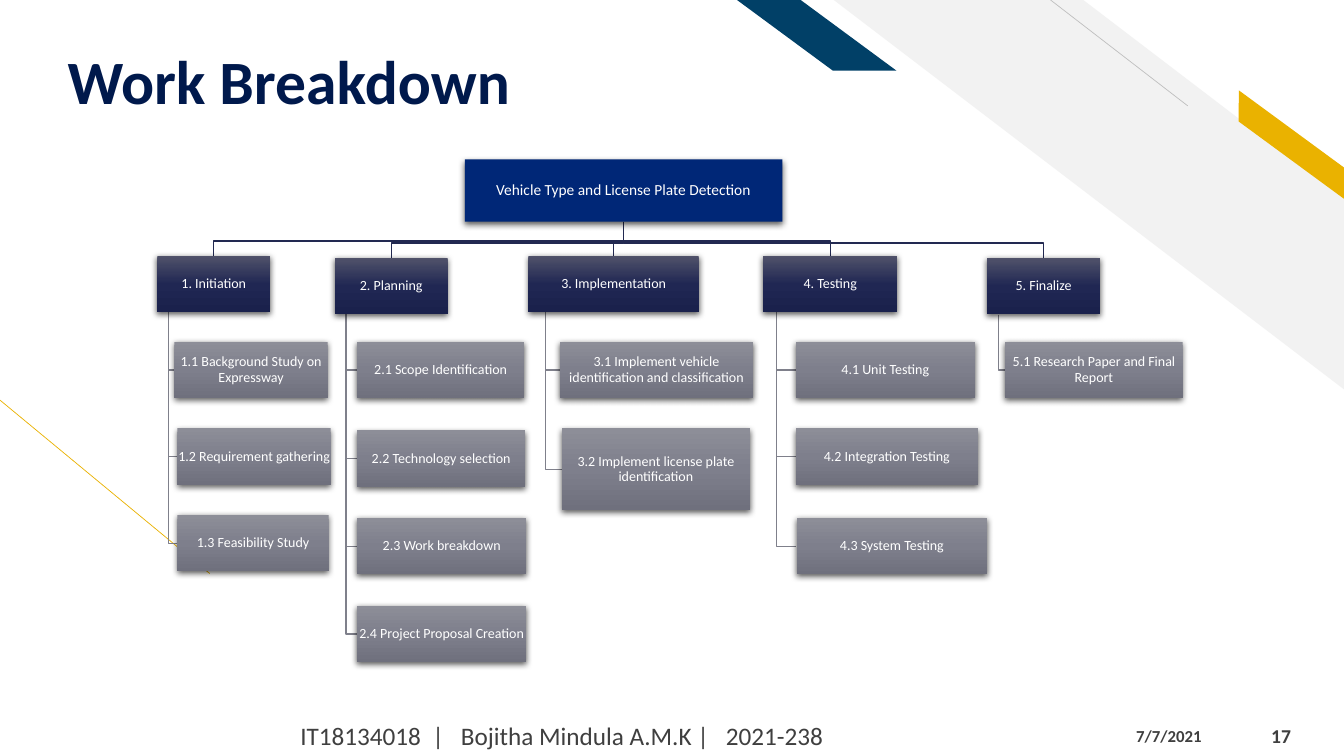
from copy import deepcopy

from lxml import etree
from pptx import Presentation
from pptx.dml.color import RGBColor
from pptx.enum.shapes import MSO_CONNECTOR, MSO_SHAPE
from pptx.enum.text import MSO_ANCHOR, MSO_AUTO_SIZE, PP_ALIGN
from pptx.oxml.ns import qn
from pptx.util import Inches, Pt

RECTANGLE, STRIPE, SLANT = MSO_SHAPE.RECTANGLE, MSO_SHAPE.DIAGONAL_STRIPE, MSO_SHAPE.PARALLELOGRAM
STRAIGHT = MSO_CONNECTOR.STRAIGHT
TOP, MIDDLE, BOTTOM = MSO_ANCHOR.TOP, MSO_ANCHOR.MIDDLE, MSO_ANCHOR.BOTTOM
LEFT, CENTER = PP_ALIGN.LEFT, PP_ALIGN.CENTER
NO_AUTOFIT = MSO_AUTO_SIZE.NONE

WIDTH, HEIGHT = 13.33, 7.5
FONT = "Calibri"
ROOT_COLOR = "002777"
PHASE_COLORS = ("50526A", "202753", "1A214C")
TASK_COLORS = ("8D8E98", "7E7F8C", "6F707D")
PHASE_LINE, TASK_LINE = "222951", "7F808B"

TITLE = "Work Breakdown"
ROOT = ("Vehicle Type and License Plate Detection", 4.61, 1.58, 3.15, 0.62)
BOX_HEIGHT = 0.56
SPINE_SHARE = 0.1  # where the task line leaves a phase box
BUS_GAP = 0.15  # bus line above the phase boxes

# phase: text, left, top, width; tasks: text, left, top, width, height
PHASES = [
    (("1. Initiation", 1.56, 2.54, 1.12), [
        ("1.1 Background Study on Expressway", 1.73, 3.39, 1.52, BOX_HEIGHT),
        ("1.2 Requirement gathering", 1.76, 4.25, 1.52, BOX_HEIGHT),
        ("1.3 Feasibility Study", 1.76, 5.11, 1.5, BOX_HEIGHT)]),
    (("2. Planning", 3.32, 2.56, 1.12), [
        ("2.1 Scope Identification", 3.54, 3.39, 1.66, BOX_HEIGHT),
        ("2.2 Technology selection", 3.54, 4.27, 1.67, BOX_HEIGHT),
        ("2.3 Work breakdown", 3.54, 5.14, 1.68, BOX_HEIGHT),
        ("2.4 Project Proposal Creation", 3.54, 6.01, 1.68, BOX_HEIGHT)]),
    (("3. Implementation", 5.24, 2.54, 1.69), [
        ("3.1 Implement vehicle identification and classification", 5.55, 3.39, 1.92, BOX_HEIGHT),
        ("3.2 Implement license plate identification", 5.57, 4.25, 1.87, 0.81)]),
    (("4. Testing", 7.57, 2.54, 1.33), [
        ("4.1 Unit Testing", 7.89, 3.39, 1.78, BOX_HEIGHT),
        ("4.2 Integration Testing", 7.89, 4.25, 1.81, BOX_HEIGHT),
        ("4.3 System Testing", 7.9, 5.14, 1.89, BOX_HEIGHT)]),
    (("5. Finalize", 9.79, 2.56, 1.12), [
        ("5.1 Research Paper and Final Report", 9.97, 3.39, 1.76, BOX_HEIGHT)]),
]

# text, left, top, width, height, size, bold, anchor
FOOTER = [
    ("IT18134018  |   Bojitha Mindula A.M.K |   2021-238", 2.88, 7.1, 7.45, 0.4, 18, False, MIDDLE),
    ("7/7/2021", 11.17, 7.15, 1.25, 0.3, 12, True, TOP),
    ("17", 12.51, 7.1, 0.74, 0.4, 14, True, MIDDLE),
]

# preset, left, top, width, height, rotation, adjustment, colour
BANDS = [
    (STRIPE, 8.27, 0, 5.07, 3.87, 0, 0.512, "F2F2F2"),
    (SLANT, 12.07, 1.31, 1.48, 0.25, 36.3, 0.72, "EAB200"),
    (SLANT, 7.31, 0, 1.58, 0.7, 0, 1.356, "014067"),
]
# start x, start y, end x, end y, colour
ACCENT_LINES = [(2.08, 5.69, 0, 3.97, "EAB200"), (11.78, 1.05, 10.42, 0, "BFBFBF")]


def rgb(color):
    return RGBColor.from_string(color)


def inches(*lengths):
    return [Inches(length) for length in lengths]


def write(shape, text, size, color, bold=False, align=LEFT, anchor=MIDDLE,
          margins=(0.1, 0.05, 0.1, 0.05), spacing=1.0):
    frame = shape.text_frame
    frame.text = text
    frame.word_wrap = True
    frame.auto_size = NO_AUTOFIT
    frame.vertical_anchor = anchor
    (frame.margin_left, frame.margin_top,
     frame.margin_right, frame.margin_bottom) = inches(*margins)
    para = frame.paragraphs[0]
    para.alignment = align
    para.line_spacing = spacing
    para.font.name = FONT
    para.font.size = Pt(size)
    para.font.bold = bold
    para.font.color.rgb = rgb(color)


def add_plain_shape(slide, preset, left, top, width, height):
    shape = slide.shapes.add_shape(preset, *inches(left, top, width, height))
    shape.shadow.inherit = False
    shape.line.fill.background()
    return shape


def add_shadow(shape):
    effects = shape._element.spPr.find(qn("a:effectLst"))
    shadow = etree.SubElement(effects, qn("a:outerShdw"), blurRad=str(Pt(4.5)),
                              dist=str(Pt(1.5)), dir="5400000", algn="ctr", rotWithShape="0")
    color = etree.SubElement(shadow, qn("a:srgbClr"), val="000000")
    etree.SubElement(color, qn("a:alpha"), val="63000")


def fill_gradient(shape, colors):
    """Fill from top to bottom with evenly spaced colours."""
    shape.fill.gradient()
    shape.fill.gradient_angle = 270
    stop_list = shape._element.spPr.find(".//" + qn("a:gsLst"))
    stop_list.insert(1, deepcopy(stop_list[0]))
    for index, (stop, color) in enumerate(zip(shape.fill.gradient_stops, colors)):
        stop.color.rgb = rgb(color)
        stop.position = index / (len(colors) - 1)


def add_box(slide, text, left, top, width, height, colors, size=10):
    box = add_plain_shape(slide, RECTANGLE, left, top, width, height)
    if len(colors) == 1:
        box.fill.solid()
        box.fill.fore_color.rgb = rgb(colors[0])
    else:
        fill_gradient(box, colors)
    add_shadow(box)
    write(box, text, size, "FFFFFF", align=CENTER, margins=(0, 0.01, 0, 0.01), spacing=0.9)


def add_elbow(slide, points, color):
    start, *corners = [inches(*point) for point in points]
    builder = slide.shapes.build_freeform(*start)
    builder.add_line_segments(corners, close=False)
    elbow = builder.convert_to_shape()
    elbow.shadow.inherit = False
    elbow.fill.background()
    elbow.line.color.rgb = rgb(color)
    elbow.line.width = Pt(1)


def add_background(slide):
    for preset, left, top, width, height, rotation, adjustment, color in BANDS:
        band = add_plain_shape(slide, preset, left, top, width, height)
        band.adjustments[0] = adjustment
        band.rotation = rotation
        band.fill.solid()
        band.fill.fore_color.rgb = rgb(color)
        band._element.spPr.xfrm.set("flipH", "1")
    for *ends, color in ACCENT_LINES:
        line = slide.shapes.add_connector(STRAIGHT, *inches(*ends))
        line.line.color.rgb = rgb(color)
        line.line.width = Pt(0.5)
        etree.SubElement(line._element.spPr, qn("a:effectLst"))


def add_tree(slide):
    _, root_left, root_top, root_width, root_height = ROOT
    root_x, root_bottom = root_left + root_width / 2, root_top + root_height
    for (_, left, top, width), tasks in PHASES:
        phase_x, bus_y = left + width / 2, top - BUS_GAP
        add_elbow(slide, [(root_x, root_bottom), (root_x, bus_y),
                          (phase_x, bus_y), (phase_x, top)], PHASE_LINE)
        spine_x = left + SPINE_SHARE * width
        for _, task_left, task_top, _, task_height in tasks:
            task_y = task_top + task_height / 2
            add_elbow(slide, [(spine_x, top + BOX_HEIGHT), (spine_x, task_y),
                              (task_left, task_y)], TASK_LINE)
    add_box(slide, *ROOT, [ROOT_COLOR], size=11)
    for phase, tasks in PHASES:
        add_box(slide, *phase, BOX_HEIGHT, PHASE_COLORS)
        for task in tasks:
            add_box(slide, *task, TASK_COLORS)


def main():
    deck = Presentation()
    deck.slide_width, deck.slide_height = inches(WIDTH, HEIGHT)
    slide = deck.slides.add_slide(deck.slide_layouts[5])
    add_background(slide)
    title = slide.shapes.title
    title.left, title.top, title.width, title.height = inches(0.57, 0.23, 11.85, 0.94)
    write(title, TITLE, 44, "00194C", bold=True, anchor=BOTTOM,
          margins=(0.1, 0.05, 0.1, 0), spacing=0.9)
    add_tree(slide)
    for text, left, top, width, height, size, bold, anchor in FOOTER:
        box = slide.shapes.add_textbox(*inches(left, top, width, height))
        write(box, text, size, "3F3F3F", bold=bold, anchor=anchor)
    deck.save("out.pptx")


if __name__ == "__main__":
    main()
